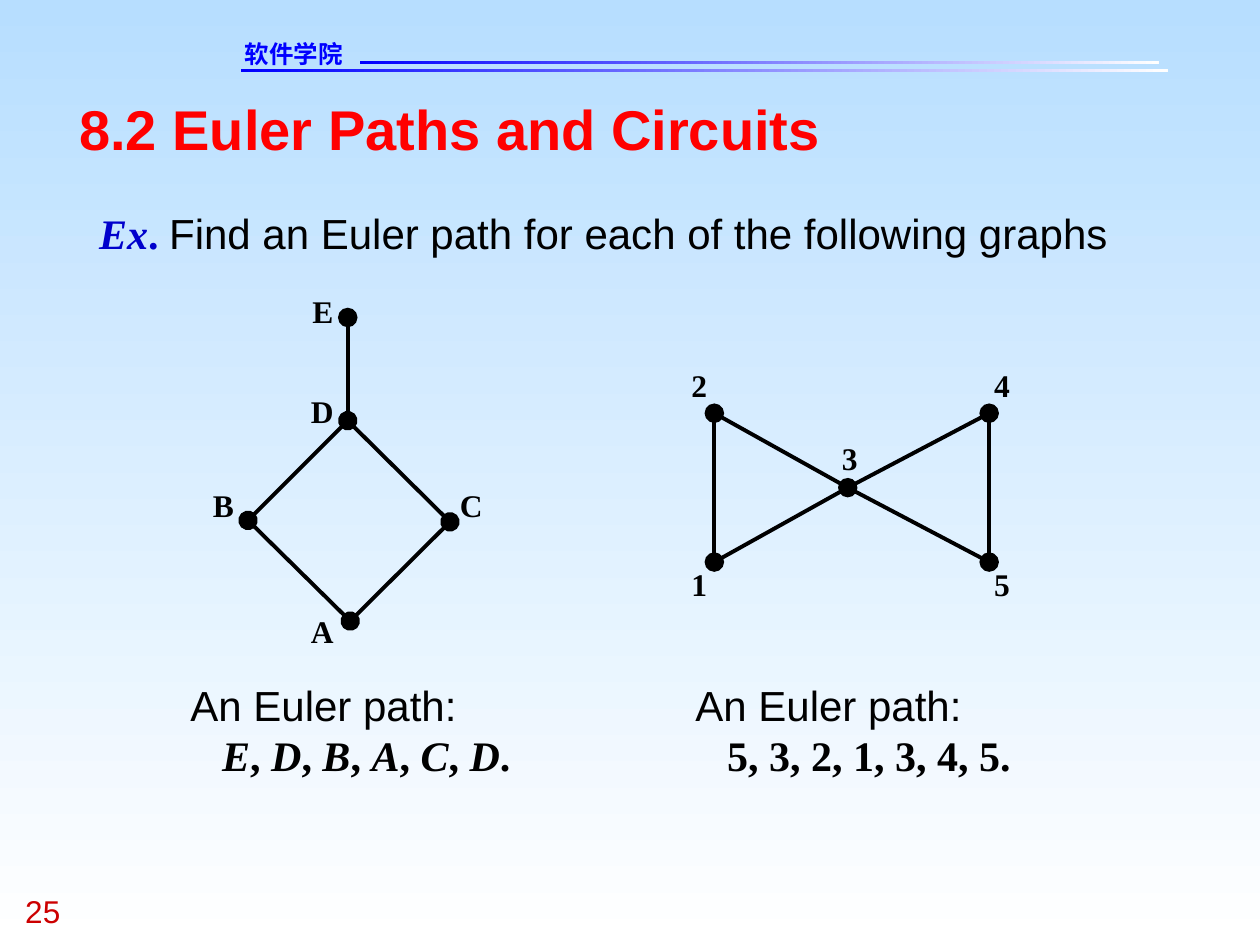
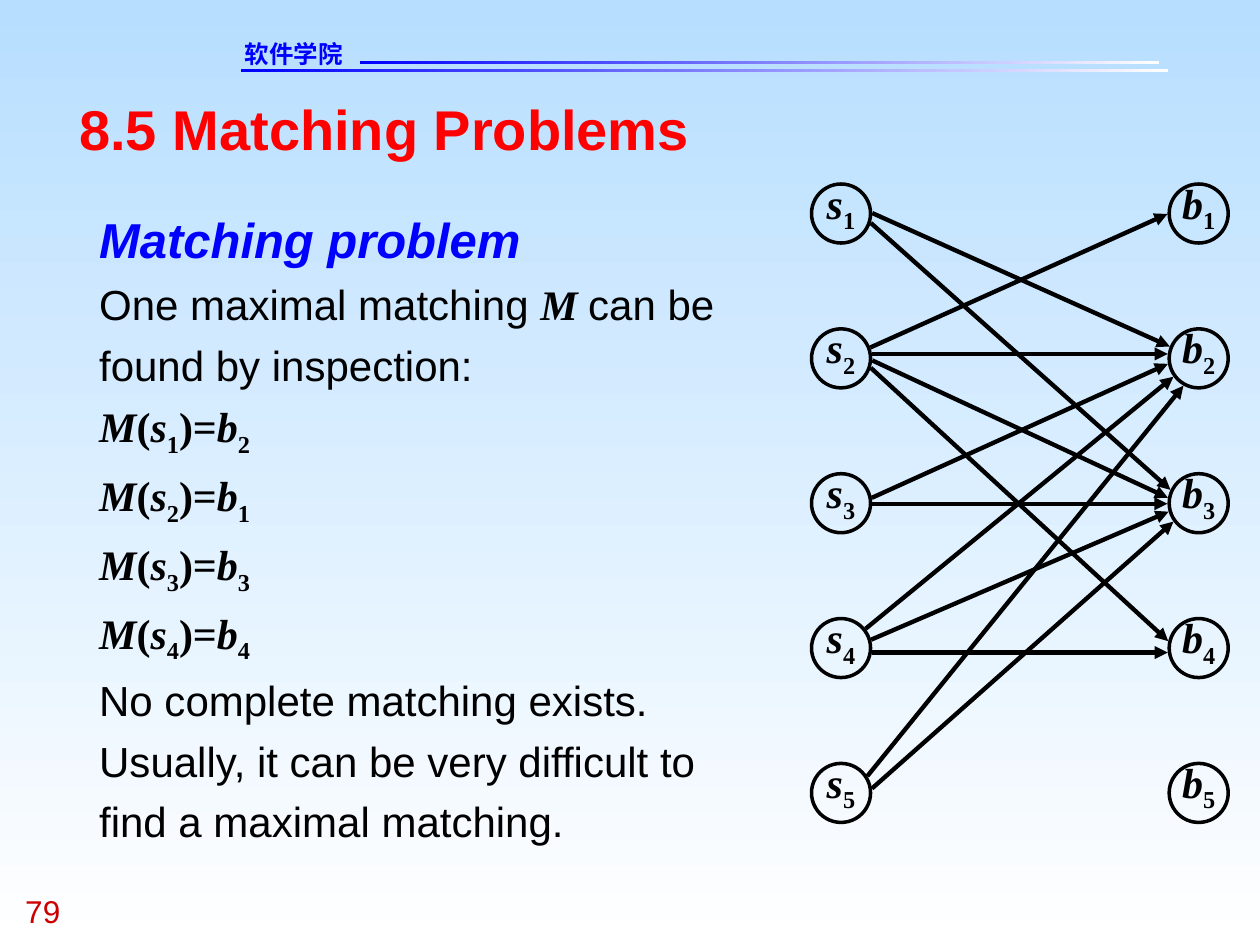
from itertools import groupby
from math import sqrt

from lxml.etree import SubElement
from pptx import Presentation
from pptx.dml.color import RGBColor
from pptx.enum.shapes import MSO_CONNECTOR as Conn, MSO_SHAPE as Shape
from pptx.enum.text import MSO_ANCHOR as Anchor, PP_ALIGN as Align
from pptx.oxml.ns import qn
from pptx.util import Cm, Pt

# Palette and text styles: font, bold, italic, colour
HUE = {"sky": "B7DEFF", "white": "FFFFFF", "blue": "0000FF", "navy": "0000CC",
       "red": "FF0000", "page": "CC0000", "ink": "000000"}
SANS, SERIF = "Arial", "Times New Roman"
STYLE = {
    "school": ("DejaVu Sans", True, False, "blue"),
    "title": (SANS, True, False, "red"),
    "page": (SANS, False, False, "page"),
    "head": (SANS, True, True, "blue"),
    "plain": (SANS, False, False, "ink"),
    "mark": (SERIF, True, True, "navy"),
    "dot": (SERIF, True, False, "navy"),
    "var": (SERIF, True, True, "ink"),
    "math": (SERIF, True, False, "ink"),
    "sub": (SERIF, True, False, "ink"),
}

# Shared frame: left, top, width, height in cm
SCHOOL = "软件学院"
BARS = [(4.85, 1.4, 18.69, 0.06), (7.26, 1.24, 16.1, 0.06)]

# Euler slide
EULER = "8.2 Euler Paths and Circuits"
TASK = [("Ex", "mark"), (". ", "dot"),
        ("Find an Euler path for each of the following graphs", "plain")]
NODES = {  # name: (centre, label corner)
    "A": ((7.06, 12.52), (6.27, 12.34)),
    "B": ((5, 10.49), (4.29, 9.8)),
    "C": ((9.07, 10.52), (9.27, 9.8)),
    "D": ((7.01, 8.48), (6.27, 7.9)),
    "E": ((7.01, 6.4), (6.3, 5.89)),
    "1": ((14.4, 11.33), (13.94, 11.4)),
    "2": ((14.4, 8.33), (13.94, 7.37)),
    "3": ((17.09, 9.83), (16.97, 8.86)),
    "4": ((19.94, 8.33), (20.04, 7.37)),
    "5": ((19.94, 11.33), (20.04, 11.4)),
}
EDGES = [  # pair of nodes, dot at the start, dot at the end
    ("DB", 1, 1), ("ED", 1, 0), ("AB", 0, 0), ("CA", 1, 1), ("CD", 0, 0),
    ("21", 1, 1), ("31", 1, 0), ("32", 0, 0), ("45", 1, 1), ("43", 0, 0),
    ("53", 0, 0),
]
PATHS = [(3.84, "E, D, B, A, C, D."), (14.02, "5, 3, 2, 1, 3, 4, 5.")]

# Matching slide
MATCH = "8.5 Matching Problems"
FOUND = ["M(s1)=b2", "M(s2)=b1", "M(s3)=b3", "M(s4)=b4"]
COLS = {"s": 16.36, "b": 23.57}
TOP, STEP, SIZE, REACH = 3.71, 2.92, 1.19, 0.63
LINKS = [  # s, b, height of each end above or below its circle's centre
    (2, 1, -0.22, 0.01), (1, 2, -0.01, -0.24), (1, 3, 0.19, -0.27),
    (2, 2, -0.09, -0.09), (2, 3, 0.04, -0.11), (2, 4, 0.19, -0.14),
    (3, 2, -0.11, 0.11), (4, 2, -0.39, 0.37), (5, 2, -0.34, 0.55),
    (5, 3, -0.09, 0.37), (4, 3, -0.17, 0.17), (3, 3, 0.01, 0.01),
    (4, 4, 0.09, 0.09),
]


def rgb(name):
    return RGBColor.from_string(HUE[name])


def blend(fill, first, last, angle):
    fill.gradient()
    fill.gradient_angle = angle
    for stop, name in zip(fill.gradient_stops, (first, last)):
        stop.color.rgb = rgb(name)


def paint(font, kind):
    font.name, font.bold, font.italic, hue = STYLE[kind]
    font.color.rgb = rgb(hue)


def math(text, low=True):
    """Split a formula: letters slant, digits drop when low is set."""
    def kind(char):
        return "var" if char.isalpha() else "sub" if low and char.isdigit() else "math"
    return [("".join(part), name) for name, part in groupby(text, kind)]


def write(frame, paras, size, space=None, wrap=True):
    """Fill a frame; each paragraph is a list of (text, kind) runs."""
    frame.margin_left = frame.margin_right = 0
    frame.margin_top = frame.margin_bottom = 0
    frame.word_wrap = wrap
    for i, runs in enumerate(paras):
        para = frame.paragraphs[0] if i == 0 else frame.add_paragraph()
        kinds = {kind for _, kind in runs}
        para.line_spacing = space
        para.font.size = Pt(28 if "head" in kinds else size)
        if len(kinds) == 1:
            paint(para.font, *kinds)
        for text, kind in runs:
            for j, line in enumerate(text.split("\n")):
                if j:
                    para.add_line_break()
                run = para.add_run()
                run.text = line
                if len(kinds) > 1:
                    paint(run.font, kind)
                if kind == "sub":
                    run._r.get_or_add_rPr().set("baseline", "-25000")


def text(slide, box, paras, size, **opts):
    frame = slide.shapes.add_textbox(*map(Cm, box)).text_frame
    write(frame, paras, size, **opts)
    return frame


def line(slide, start, end, width, head=None, tail=None, scale="med"):
    link = slide.shapes.add_connector(Conn.STRAIGHT, *map(Cm, (*start, *end)))
    link.line.color.rgb = rgb("ink")
    link.line.width = Pt(width)
    for tag, mark in (("a:headEnd", head), ("a:tailEnd", tail)):
        if mark:
            SubElement(link.line._get_or_add_ln(), qn(tag), type=mark, w=scale, len=scale)
    SubElement(link._element.spPr, qn("a:effectLst"))


def frame(deck, title, page):
    """Add a slide with its backdrop, bars, title and page number."""
    slide = deck.slides.add_slide(deck.slide_layouts[6])
    blend(slide.background.fill, "sky", "white", 270)
    for box in BARS:
        bar = slide.shapes.add_shape(Shape.RECTANGLE, *map(Cm, box))
        bar.shadow.inherit = False
        bar.line.fill.background()
        blend(bar.fill, "blue", "white", 0)
    text(slide, (4.93, 0.79, 3.68, 0.58), [[(SCHOOL, "school")]], 14)
    text(slide, (0.51, 17.98, 1.9, 0.76), [[(page, "page")]], 18)
    text(slide, (1.6, 1.9, 22.22, 1.35), [[(title, "title")]], 32)
    return slide


def euler(deck):
    slide = frame(deck, EULER, "25")
    text(slide, (2, 3.99, 22.35, 1.22), [TASK], 24, space=1.2)
    # Graphs
    for (a, b), head, tail in EDGES:
        line(slide, NODES[a][0], NODES[b][0], 2.25,
             head and "oval", tail and "oval", "lg")
    for name, (_, spot) in NODES.items():
        text(slide, (*spot, 0.45, 0.76), [[(name, "math")]], 18, wrap=False)
    # Answers, the second line indented
    for left, route in PATHS:
        paras = [[("An Euler path:", "plain")], math(route, low=False)]
        answer = text(slide, (left, 13.69, 6.45, 2.03), paras, 24, wrap=False)
        answer.paragraphs[1]._p.get_or_add_pPr().set("marL", str(Cm(0.64)))


def middle(side, row):
    return COLS[side] + SIZE / 2, TOP + (row - 1) * STEP + SIZE / 2


def touch(side, row, drop):
    """Point near a circle's edge, on the side that faces the other column."""
    x, y = middle(side, row)
    over = sqrt(REACH ** 2 - drop ** 2)
    return (x + over if side == "s" else x - over), y + drop


def matching(deck):
    slide = frame(deck, MATCH, "79")
    body = [
        [("Matching problem", "head")],
        [("One maximal matching ", "plain"), ("M ", "var"),
         ("can be found by inspection:", "plain")],
        *map(math, FOUND),
        [("No complete matching exists.", "plain")],
        [("Usually, it can be very difficult to\nfind a maximal matching.", "plain")],
    ]
    text(slide, (2, 3.99, 13.54, 13.06), body, 24, space=1.2)
    # Circles
    for side, left in COLS.items():
        for row in range(1, 6):
            box = (left, TOP + (row - 1) * STEP, SIZE, SIZE)
            ring = slide.shapes.add_shape(Shape.OVAL, *map(Cm, box))
            ring.shadow.inherit = False
            ring.fill.background()
            ring.line.color.rgb = rgb("ink")
            ring.line.width = Pt(2)
            write(ring.text_frame, [math(f"{side}{row}")], 24, wrap=False)
            ring.text_frame.vertical_anchor = Anchor.BOTTOM
            ring.text_frame.paragraphs[0].alignment = Align.CENTER
    # Arrows
    for s, b, out, into in LINKS:
        line(slide, touch("s", s, out), touch("b", b, into), 2.5, tail="triangle")


def main():
    deck = Presentation()
    deck.slide_width, deck.slide_height = Cm(25.4), Cm(19.05)
    euler(deck)
    matching(deck)
    deck.save("out.pptx")


if __name__ == "__main__":
    main()
